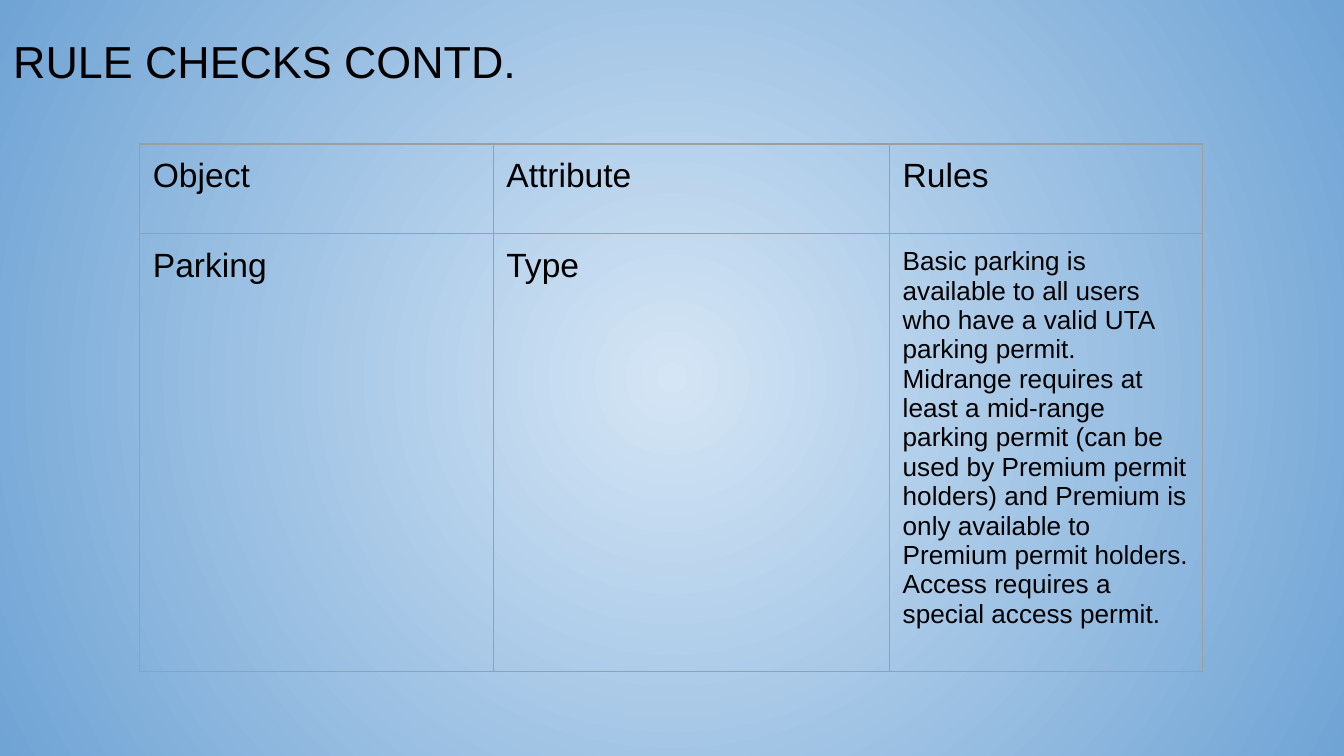
from lxml import etree
from pptx import Presentation
from pptx.dml.color import RGBColor
from pptx.oxml.ns import qn
from pptx.util import Cm, Pt

FONT = "Arial"
BLACK = "000000"
GREY = "9E9E9E"
LIGHT_BLUE = "D4E5F5"
MID_BLUE = "70A4D5"
INSET = Cm(0.25)
COLUMN_WIDTHS = [6.68, 7.49, 5.92]
ROW_HEIGHTS = [1.7, 8.28]
RULES = [
    ["Object", "Attribute", "Rules"],
    ["Parking", "Type",
     "Basic parking is available to all users who have a valid UTA parking permit.\n"
     "Midrange requires at least a mid-range parking permit (can be used by Premium "
     "permit holders) and Premium is only available to Premium permit holders. "
     "Access requires a special access permit."],
]


def color(value):
    """Return the colour for a hex string."""
    return RGBColor.from_string(value)


def format_text(text_frame, size):
    """Apply the slide's font to every run."""
    for paragraph in text_frame.paragraphs:
        for run in paragraph.runs:
            run.font.name = FONT
            run.font.size = Pt(size)
            run.font.color.rgb = color(BLACK)


def set_background(slide, center, edge):
    """Fill the background with a circular gradient."""
    fill = slide.background.fill
    fill.gradient()
    for stop, value, position in zip(fill.gradient_stops, (center, edge), (0, 1)):
        stop.color.rgb = color(value)
        stop.position = position
    gradient = next(slide.element.iter(qn("a:gradFill")))
    gradient.remove(gradient.find(qn("a:lin")))
    circle = etree.SubElement(gradient, qn("a:path"), path="circle")
    etree.SubElement(circle, qn("a:fillToRect"), l="50000", t="50000", r="50000", b="50000")


def add_title(slide, text):
    """Add the slide heading."""
    shape = slide.shapes.add_textbox(Cm(0), Cm(0.3), Cm(17.83), Cm(1.98))
    text_frame = shape.text_frame
    text_frame.word_wrap = True
    text_frame.margin_left = text_frame.margin_right = text_frame.margin_bottom = INSET
    text_frame.margin_top = Cm(0.34)
    text_frame.text = text
    format_text(text_frame, 24)


def set_borders(cell, value, width):
    """Draw a solid line on all four sides of a cell."""
    properties = cell._tc.get_or_add_tcPr()
    for index, side in enumerate(("a:lnL", "a:lnR", "a:lnT", "a:lnB")):
        line = etree.Element(qn(side), w=str(Pt(width)))
        fill = etree.SubElement(line, qn("a:solidFill"))
        etree.SubElement(fill, qn("a:srgbClr"), val=value)
        properties.insert(index, line)


def add_rules_table(slide, rows):
    """Add the table of objects, attributes and rules."""
    shape = slide.shapes.add_table(
        len(rows), len(rows[0]), Cm(2.64), Cm(2.72),
        Cm(sum(COLUMN_WIDTHS)), Cm(sum(ROW_HEIGHTS)))
    table = shape.table
    table.first_row = table.horz_banding = False
    for column, width in zip(table.columns, COLUMN_WIDTHS):
        column.width = Cm(width)
    for row, height, texts in zip(table.rows, ROW_HEIGHTS, rows):
        row.height = Cm(height)
        for cell, text in zip(row.cells, texts):
            cell.margin_left = cell.margin_right = INSET
            cell.margin_top = cell.margin_bottom = INSET
            cell.fill.background()
            cell.text_frame.text = text
            format_text(cell.text_frame, 14 if "\n" in text else 18)
            set_borders(cell, GREY, 0.75)


def main():
    """Build the slide and save it."""
    presentation = Presentation()
    presentation.slide_width = Cm(25.4)
    presentation.slide_height = Cm(14.29)
    slide = presentation.slides.add_slide(presentation.slide_layouts[6])
    set_background(slide, LIGHT_BLUE, MID_BLUE)
    add_title(slide, "RULE CHECKS CONTD.")
    add_rules_table(slide, RULES)
    presentation.save("out.pptx")


if __name__ == "__main__":
    main()
